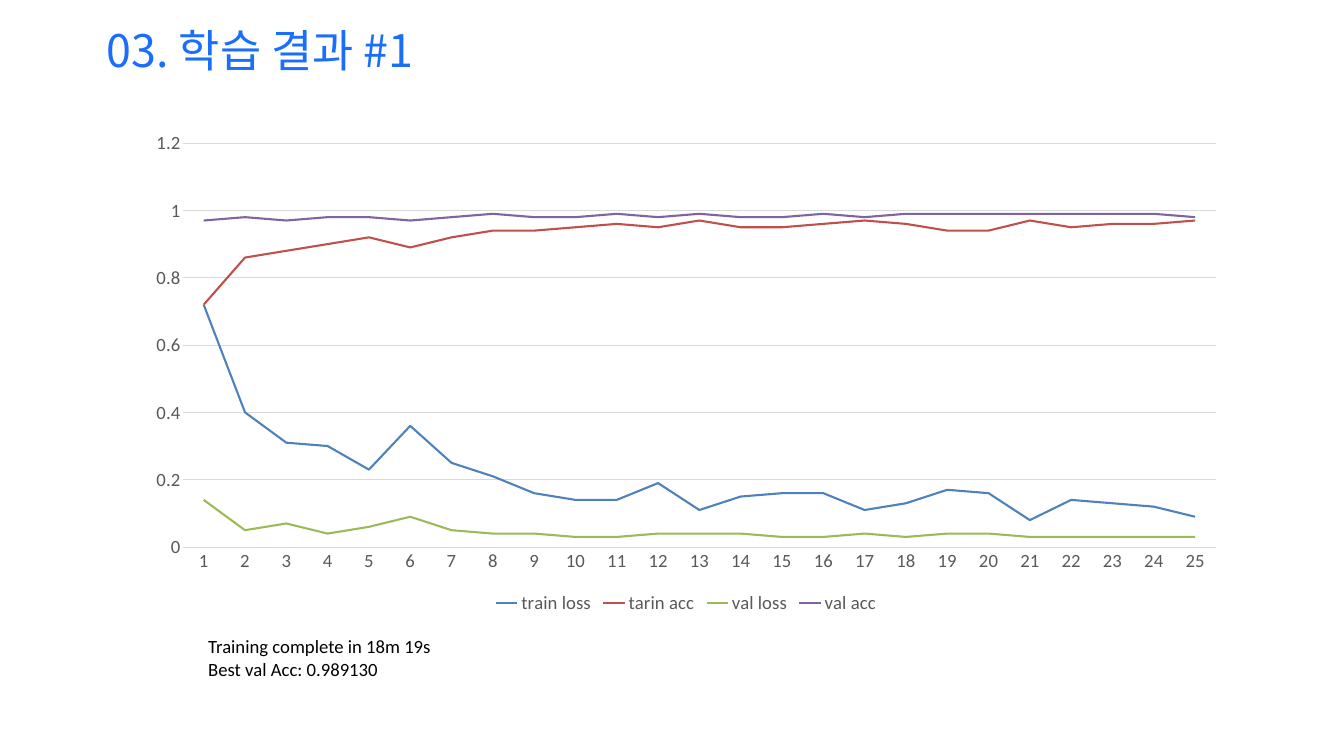
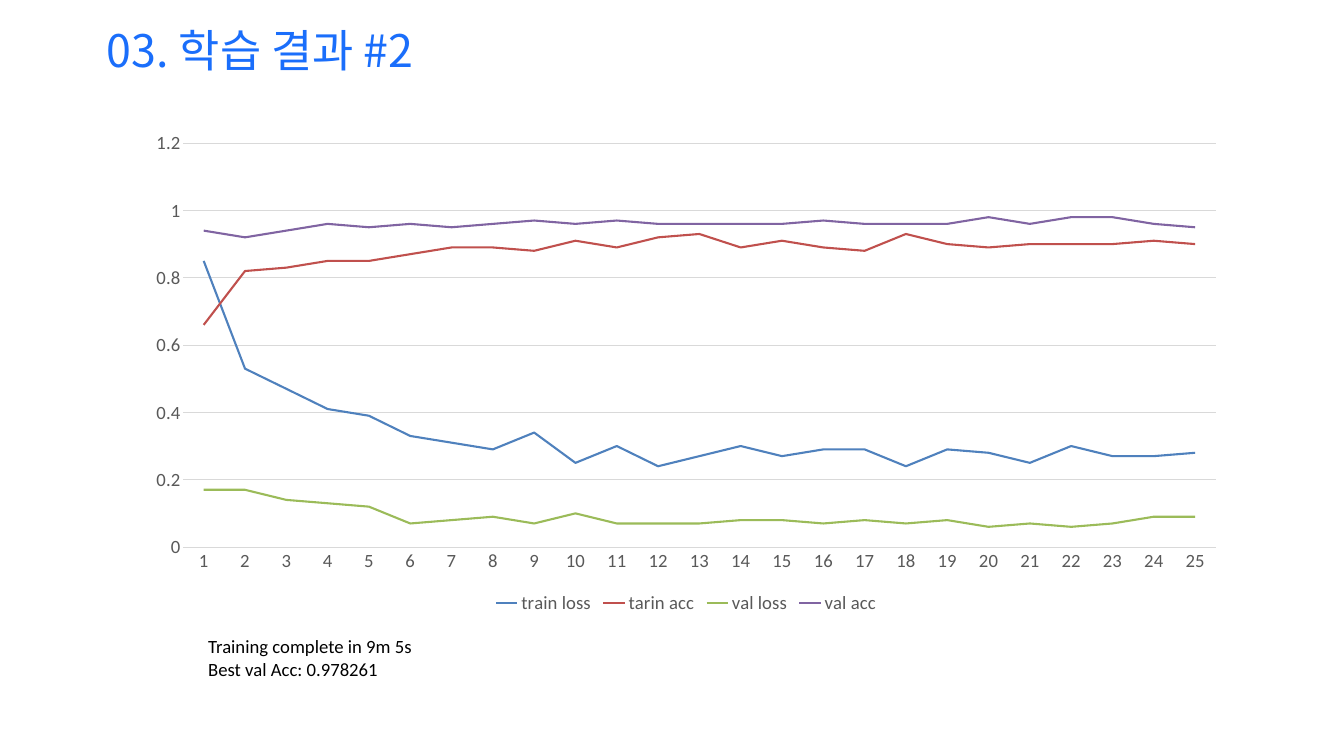
from lxml import etree
from pptx import Presentation
from pptx import util as u
from pptx.chart import data as chart_data
from pptx.dml.color import RGBColor
from pptx.enum import chart as ch, text as tx
from pptx.oxml import ns

PX = 9144  # EMU per px, 100 px to the inch
SLIDE_SIZE = (2000, 1125)
TITLE_BOX = (149, 29, 1418, 91)
CHART_BOX = (200, 181, 1642, 739)
SUMMARY_BOX = (300, 940, 1233, 77)

TITLE_FONT, BODY_FONT = "Noto Sans CJK KR", "Calibri"
TITLE_SIZE, BODY_SIZE = 48, 20
CURVE_WIDTH, GRID_WIDTH = 2.25, 0.75
COLOURS = {
    "title": "1A6EFB", "body": "000000", "axis text": "595959", "grid": "D9D9D9",
    "train loss": "4F81BD", "tarin acc": "C0504D",
    "val loss": "9BBB59", "val acc": "8064A2",
}

# One row per curve, one value per epoch, in hundredths.
CURVE_NAMES = ("train loss", "tarin acc", "val loss", "val acc")
RUNS = [
    {"duration": "18m 19s", "best_accuracy": "0.989130", "hundredths": (
        "72 40 31 30 23 36 25 21 16 14 14 19 11 15 16 16 11 13 17 16 8 14 13 12 9",
        "72 86 88 90 92 89 92 94 94 95 96 95 97 95 95 96 97 96 94 94 97 95 96 96 97",
        "14 5 7 4 6 9 5 4 4 3 3 4 4 4 3 3 4 3 4 4 3 3 3 3 3",
        "97 98 97 98 98 97 98 99 98 98 99 98 99 98 98 99 98 99 99 99 99 99 99 99 98",
    )},
    {"duration": "9m 5s", "best_accuracy": "0.978261", "hundredths": (
        "85 53 47 41 39 33 31 29 34 25 30 24 27 30 27 29 29 24 29 28 25 30 27 27 28",
        "66 82 83 85 85 87 89 89 88 91 89 92 93 89 91 89 88 93 90 89 90 90 90 91 90",
        "17 17 14 13 12 7 8 9 7 10 7 7 7 8 8 7 8 7 8 6 7 6 7 9 9",
        "94 92 94 96 95 96 95 96 97 96 97 96 96 96 96 97 96 96 96 98 96 98 98 96 95",
    )},
]


def emu(lengths):
    return [length * PX for length in lengths]


def style_line(line, colour, width):
    line.color.rgb = RGBColor.from_string(COLOURS[colour])
    line.width = u.Pt(width)


def style_font(font, name, size, colour):
    font.name, font.size = name, u.Pt(size)
    font.color.rgb = RGBColor.from_string(COLOURS[colour])


def add_text(slide, box, lines, *, font=BODY_FONT, size=BODY_SIZE, colour="body",
             anchor=tx.MSO_ANCHOR.TOP):
    """Write one paragraph per line, with the font set for Latin and Hangul."""
    frame = slide.shapes.add_textbox(*emu(box)).text_frame
    frame.word_wrap = True
    frame.auto_size = tx.MSO_AUTO_SIZE.SHAPE_TO_FIT_TEXT
    frame.vertical_anchor = anchor
    for index, line in enumerate(lines):
        paragraph = frame.add_paragraph() if index else frame.paragraphs[0]
        run = paragraph.add_run()
        run.text = line
        style_font(run.font, font, size, colour)
        etree.SubElement(run._r.get_or_add_rPr(), ns.qn("a:ea"), typeface=font)


def add_title(slide, box, run_number):
    add_text(slide, box, [f"03. 학습 결과 #{run_number}"], font=TITLE_FONT,
             size=TITLE_SIZE, colour="title", anchor=tx.MSO_ANCHOR.MIDDLE)


def add_summary(slide, box, run):
    add_text(slide, box, [f"Training complete in {run['duration']}",
                          f"Best val Acc: {run['best_accuracy']}"])


def learning_data(hundredths):
    """Turn the rows of hundredths into chart data, one series per curve."""
    curves = [[int(value) / 100 for value in row.split()] for row in hundredths]
    epochs = chart_data.CategoryChartData()
    epochs.categories = [str(epoch + 1) for epoch in range(len(curves[0]))]
    for name, values in zip(CURVE_NAMES, curves):
        epochs.add_series(name, values)
    return epochs


def style_axes(chart):
    epoch_axis, score_axis = chart.category_axis, chart.value_axis
    for axis in (epoch_axis, score_axis):
        axis.major_tick_mark = axis.minor_tick_mark = ch.XL_TICK_MARK.NONE
    score_axis.minimum_scale, score_axis.maximum_scale = 0, 1.2
    score_axis.major_unit = 0.2
    score_axis.tick_labels.number_format = "General"
    score_axis.tick_labels.number_format_is_linked = False
    score_axis.format.line.fill.background()
    for line in (epoch_axis.format.line, score_axis.major_gridlines.format.line):
        style_line(line, "grid", GRID_WIDTH)


def add_learning_curves(slide, box, hundredths):
    chart = slide.shapes.add_chart(
        ch.XL_CHART_TYPE.LINE, *emu(box), learning_data(hundredths)).chart
    style_font(chart.font, BODY_FONT, BODY_SIZE, "axis text")
    chart.has_title = False
    chart.has_legend = True
    chart.legend.position = ch.XL_LEGEND_POSITION.BOTTOM
    chart.legend.include_in_layout = False
    style_axes(chart)

    plot = chart.plots[0]
    plot.vary_by_categories = False
    for curve in plot.series:
        curve.smooth = False
        style_line(curve.format.line, curve.name, CURVE_WIDTH)


def add_result_slide(deck, run_number, run):
    slide = deck.slides.add_slide(deck.slide_layouts[6])
    add_title(slide, TITLE_BOX, run_number)
    add_summary(slide, SUMMARY_BOX, run)
    add_learning_curves(slide, CHART_BOX, run["hundredths"])


def main():
    deck = Presentation()
    deck.slide_width, deck.slide_height = emu(SLIDE_SIZE)
    for run_number, run in enumerate(RUNS, start=1):
        add_result_slide(deck, run_number, run)
    deck.save("out.pptx")


if __name__ == "__main__":
    main()
